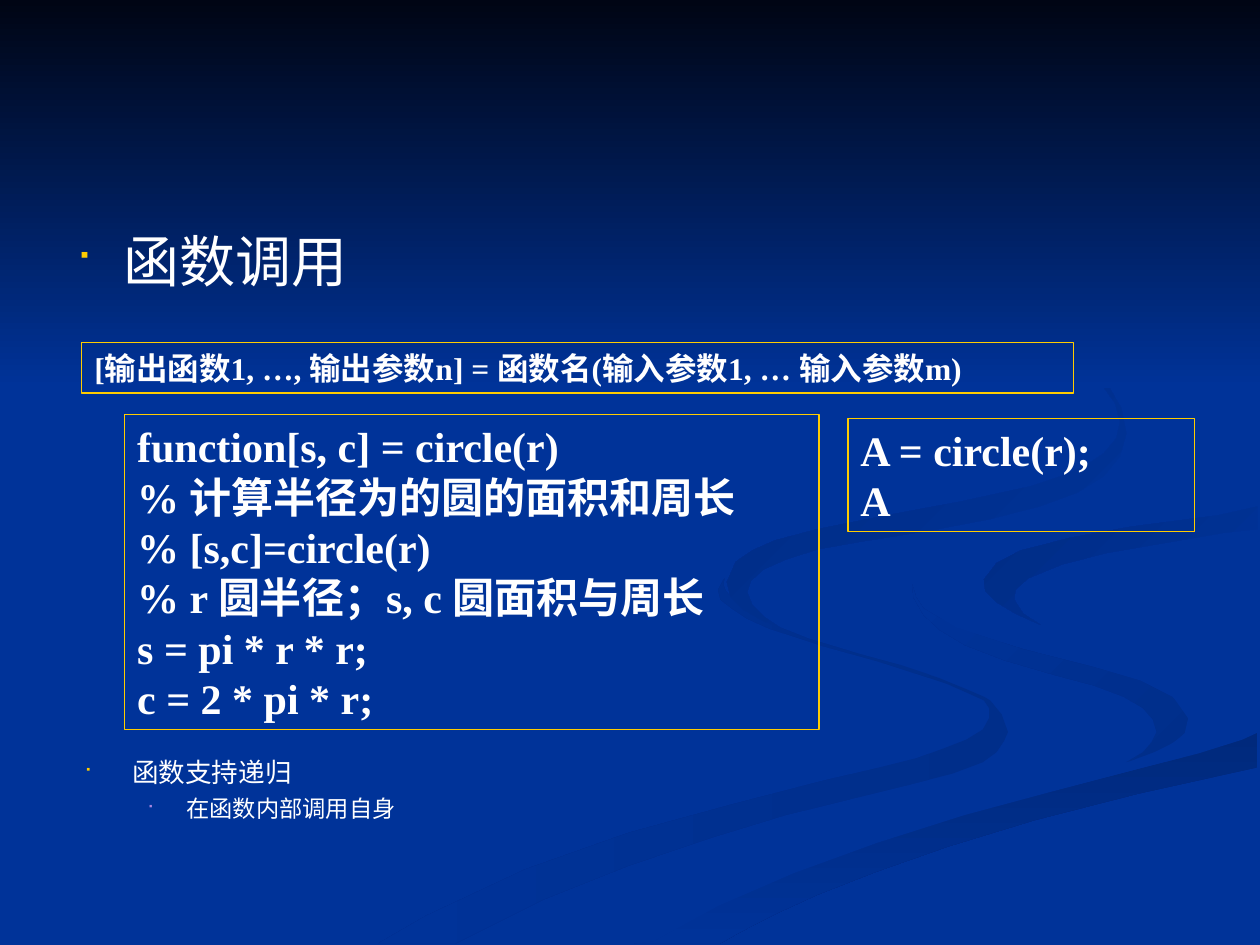
from lxml.etree import SubElement
from pptx import Presentation
from pptx.dml.color import RGBColor
from pptx.enum.shapes import MSO_SHAPE
from pptx.enum.text import MSO_ANCHOR, MSO_AUTO_SIZE, PP_ALIGN
from pptx.oxml.ns import qn
from pptx.util import Pt

PX = 9144
FONT = "Times New Roman"
WHITE, GOLD, VIOLET, BLUE = "FFFFFF", "FFCC00", "A886E0", "003399"

LOWER_LEFT_RIBBON = [
    (781, 553), (767, 547), (745, 538), (715, 528), (682, 519), (642, 507),
    (614, 496), (594, 485), (583, 477), (576, 469), (574, 464), (575, 459),
    (570, 468), (572, 476), (581, 483), (593, 491), (611, 499), (654, 513),
    (697, 525), (728, 535), (752, 543), (770, 551), (781, 556), (785, 562),
    (785, 570), (780, 579), (767, 587), (749, 594), (727, 602), (699, 609),
    (652, 620), (579, 639), (499, 661), (417, 690), (338, 727), (300, 749),
    (361, 749), (431, 714), (499, 687), (564, 665), (623, 647), (676, 634),
    (721, 623), (756, 614), (780, 605), (791, 597), (797, 588), (800, 581),
    (795, 567), (786, 556)]
RIGHT_CURL = [
    (943, 570), (939, 562), (930, 553), (905, 540), (870, 530), (811, 515),
    (774, 503), (745, 490), (733, 483), (727, 474), (724, 464), (725, 474),
    (733, 488), (746, 500), (766, 512), (797, 524), (838, 536), (868, 544),
    (892, 553), (907, 562), (915, 571), (918, 581), (914, 589), (907, 597),
    (894, 605), (916, 597), (932, 589), (941, 581), (943, 576)]
BOTTOM_BAND = [
    (519, 747), (503, 749), (571, 749), (587, 740), (614, 726), (649, 710),
    (695, 692), (752, 672), (821, 651), (903, 630), (998, 609), (998, 581),
    (976, 590), (936, 602), (867, 620), (797, 638), (764, 647), (696, 669),
    (630, 693), (569, 719)]
BLUE_BAND = [
    (725, 464), (728, 474), (734, 483), (759, 498), (793, 509), (851, 524),
    (905, 540), (931, 553), (943, 570), (940, 583), (926, 593), (902, 603),
    (869, 611), (813, 625), (743, 643), (663, 668), (573, 703), (477, 749),
    (503, 749), (519, 747), (570, 719), (630, 693), (696, 669), (765, 647),
    (832, 629), (904, 610), (951, 598), (986, 587), (999, 581), (999, 538),
    (959, 531), (904, 519), (848, 503), (817, 492), (794, 480), (784, 469),
    (781, 463), (786, 453), (800, 442), (822, 434), (850, 427), (899, 418),
    (968, 409), (999, 402), (999, 387), (942, 399), (874, 408), (808, 417),
    (770, 427), (742, 439), (730, 449)]
RIGHT_TONGUE = [
    (781, 460), (782, 469), (791, 478), (806, 487), (826, 496), (812, 487),
    (805, 476), (806, 468), (816, 459), (843, 448), (878, 439), (936, 429),
    (971, 423), (998, 420), (998, 402), (967, 409), (898, 418), (849, 427),
    (810, 437), (791, 447)]
UPPER_RIBBON = [
    (683, 430), (739, 421), (786, 412), (825, 402), (855, 391), (876, 378),
    (889, 362), (894, 344), (890, 324), (880, 307), (864, 291), (843, 275),
    (810, 256), (780, 241), (762, 233), (805, 254), (846, 279), (870, 299),
    (885, 320), (889, 335), (886, 348), (876, 360), (861, 370), (842, 378),
    (818, 386), (763, 398), (704, 409), (649, 420), (615, 429), (597, 437),
    (584, 446), (577, 462), (580, 474), (590, 484), (604, 492), (622, 500),
    (607, 490), (597, 480), (593, 470), (596, 461), (606, 452), (624, 444),
    (649, 436)]
TOP_FADE = [(0, 0), (0, 308), (1000, 308), (1000, 0)]

BACKDROP = [
    (LOWER_LEFT_RIBBON, "002E8A", BLUE, 180),
    (RIGHT_CURL, "002E8A", BLUE, 135),
    (BOTTOM_BAND, "00297C", BLUE, 270),
    (BLUE_BAND, BLUE, BLUE, 0),
    (RIGHT_TONGUE, BLUE, "002C85", 135),
    (UPPER_RIBBON, BLUE, "002B81", 135),
    (TOP_FADE, "000514", BLUE, 270)]


def color(value):
    return RGBColor.from_string(value)


def emu(*lengths):
    return [length * PX for length in lengths]


def draw_backdrop(slide):
    slide.background.fill.solid()
    slide.background.fill.fore_color.rgb = color(BLUE)
    for points, start, end, angle in BACKDROP:
        builder = slide.shapes.build_freeform(*points[0], scale=PX)
        builder.add_line_segments(points[1:], close=True)
        shape = builder.convert_to_shape()
        shape.shadow.inherit = False
        shape.line.fill.background()
        if start == end:
            shape.fill.solid()
            shape.fill.fore_color.rgb = color(start)
            continue
        shape.fill.gradient()
        shape.fill.gradient_angle = angle
        for stop, value in zip(shape.fill.gradient_stops, (start, end)):
            stop.color.rgb = color(value)


def style(paragraph, size, bold=False):
    paragraph.alignment = PP_ALIGN.LEFT
    paragraph.font.name = FONT
    paragraph.font.size = Pt(size)
    paragraph.font.bold = bold
    paragraph.font.color.rgb = color(WHITE)


def add_bullet(paragraph, margin, indent, bullet_color):
    properties = paragraph._p.get_or_add_pPr()
    properties.set("marL", str(margin * PX))
    properties.set("indent", str(-indent * PX))
    bullet = SubElement(properties, qn("a:buClr"))
    SubElement(bullet, qn("a:srgbClr"), val=bullet_color)
    SubElement(properties, qn("a:buSzPct"), val="70000")
    SubElement(properties, qn("a:buFont"), typeface="Wingdings")
    SubElement(properties, qn("a:buChar"), char="■")


def fill_bullets(shape, items, line_spacing):
    frame = shape.text_frame
    frame.word_wrap = True
    frame.auto_size = MSO_AUTO_SIZE.NONE
    frame.text = "\n".join(item[0] for item in items)
    for paragraph, item in zip(frame.paragraphs, items):
        text, level, size, before, margin, indent, bullet_color = item
        paragraph.level = level
        paragraph.line_spacing = line_spacing
        paragraph.space_before = Pt(before)
        style(paragraph, size)
        add_bullet(paragraph, margin, indent, bullet_color)


def place_heading(slide, box):
    slide.shapes.title.element.getparent().remove(slide.shapes.title.element)
    body = slide.placeholders[1]
    slide.shapes._spTree.append(body.element)
    body.left, body.top, body.width, body.height = emu(*box)
    fill_bullets(body, [("函数调用", 0, 32, 8, 38, 38, GOLD)], 1.0)


def add_code_box(slide, box, lines, size, wrap=True):
    shape = slide.shapes.add_shape(MSO_SHAPE.RECTANGLE, *emu(*box))
    shape.shadow.inherit = False
    shape.fill.background()
    shape.line.color.rgb = color(GOLD)
    shape.line.width = Pt(0.75)
    frame = shape.text_frame
    frame.word_wrap = wrap
    frame.auto_size = MSO_AUTO_SIZE.SHAPE_TO_FIT_TEXT
    frame.vertical_anchor = MSO_ANCHOR.TOP
    frame.text = "\n".join(lines)
    for paragraph in frame.paragraphs:
        style(paragraph, size, bold=True)


def add_recursion_notes(slide, box):
    shape = slide.shapes.add_textbox(*emu(*box))
    fill_bullets(shape, [
        ("函数支持递归", 0, 15.2, 8, 38, 38, GOLD),
        ("在函数内部调用自身", 1, 13.3, 7, 81, 31, VIOLET)], 0.8)


def main():
    presentation = Presentation()
    presentation.slide_width, presentation.slide_height = emu(1000, 750)
    slide = presentation.slides.add_slide(presentation.slide_layouts[1])
    draw_backdrop(slide)
    place_heading(slide, (50, 175, 900, 495))
    add_code_box(slide, (65, 272, 787, 40), [
        "[输出函数1, …, 输出参数n] = 函数名(输入参数1, … 输入参数m)"], 18, wrap=False)
    add_code_box(slide, (99, 329, 551, 250), [
        "function[s, c] = circle(r)",
        "% 计算半径为的圆的面积和周长",
        "% [s,c]=circle(r)",
        "% r 圆半径；s, c 圆面积与周长",
        "s = pi * r * r;",
        "c = 2 * pi * r;"], 24)
    add_code_box(slide, (673, 332, 275, 90), ["A = circle(r);", "A"], 24)
    add_recursion_notes(slide, (57, 600, 900, 66))
    presentation.save("out.pptx")


if __name__ == "__main__":
    main()
